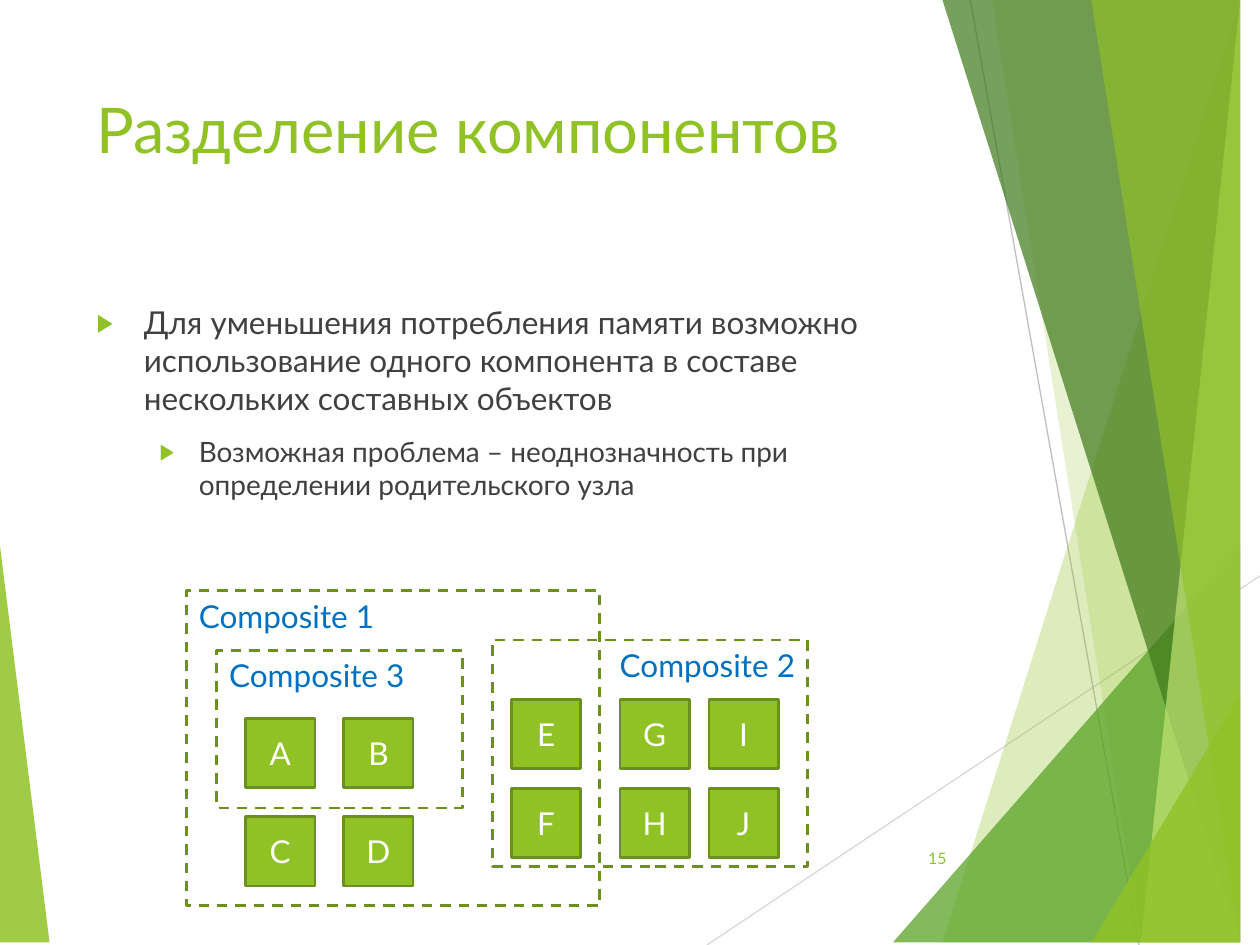
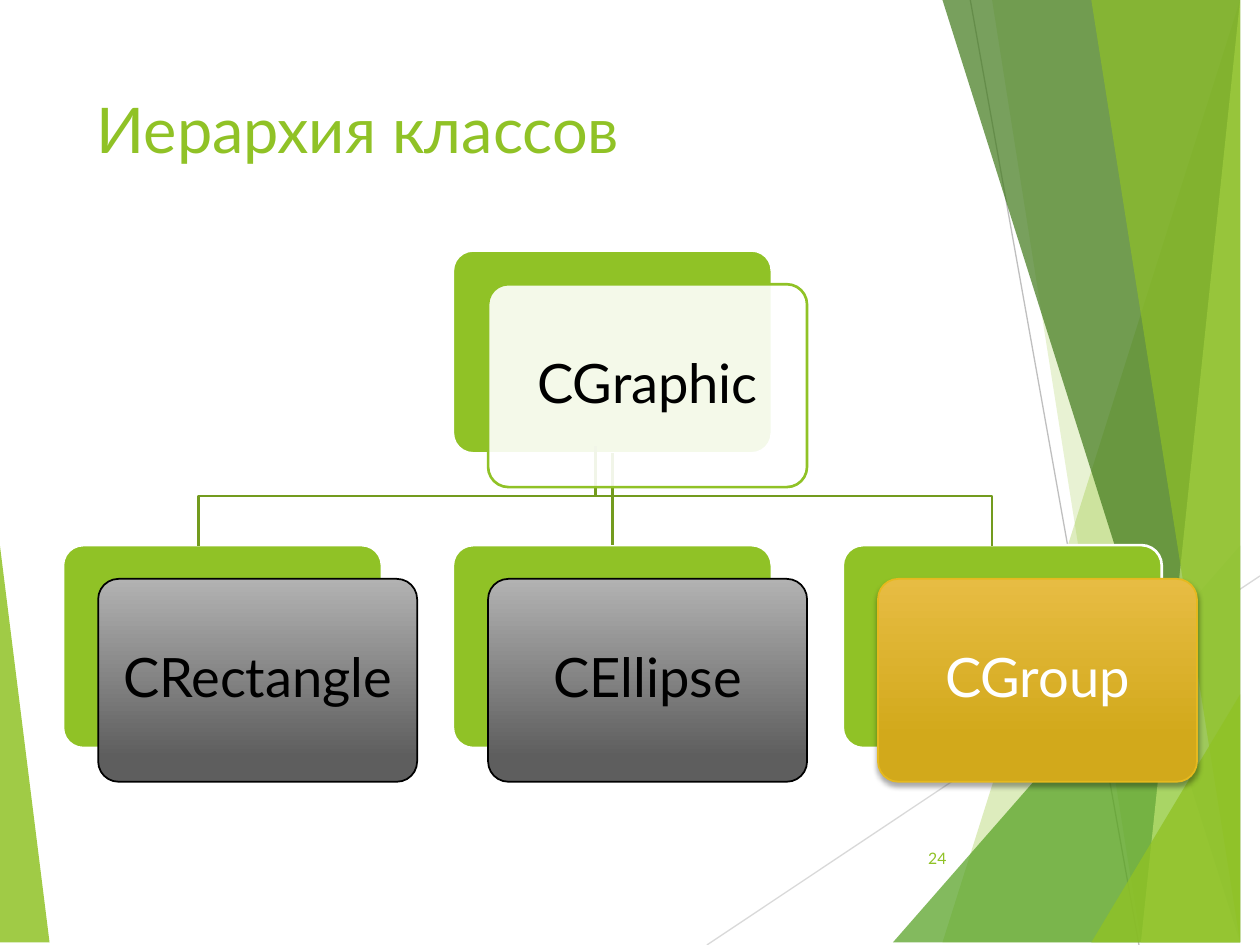
from lxml import etree
from pptx import Presentation
from pptx.dml.color import RGBColor
from pptx.enum import dml, shapes, text
from pptx.oxml import ns
from pptx.util import Cm, Pt

WIDE, HIGH = 25.4, 19.05
FONT = "Lato"
GREEN = RGBColor(0x90, 0xC2, 0x26)
LEAF = RGBColor(0x54, 0xA0, 0x21)
PINE = RGBColor(0x3F, 0x78, 0x19)
LIME = RGBColor(0xC0, 0xE4, 0x74)
OLIVE = RGBColor(0x6B, 0x90, 0x1C)
MOSS = RGBColor(0x73, 0x9B, 0x1E)
BLUE = RGBColor(0x00, 0x70, 0xC0)
INK = RGBColor(0x40, 0x40, 0x40)
BLACK = RGBColor(0, 0, 0)
WHITE = RGBColor(0xFF, 0xFF, 0xFF)
SILVER = RGBColor(0xD9, 0xD9, 0xD9)
STEEL = RGBColor(0xBF, 0xBF, 0xBF)
ASH = RGBColor(0xB2, 0xB2, 0xB2)
SLATE = RGBColor(0x5E, 0x5E, 0x5E)
HONEY = RGBColor(0xE7, 0xBC, 0x43)
GOLD = RGBColor(0xD2, 0xA9, 0x1B)
AMBER = RGBColor(0xE6, 0xB9, 0x1E)

FACETS = [
    ((24.77, 0), (19.15, HIGH), GREEN, 30),
    ((20.02, 0), (23.34, HIGH), GREEN, 20),
    ((WIDE, 10.9), (18.44, HIGH), LEAF, 72),
    ((19.48, 0), (24.64, HIGH), PINE, 70),
    ((24.92, 0), (23.04, HIGH), LIME, 70),
    ((22.43, 0), (25.04, HIGH), GREEN, 65),
    ((WIDE, 13.59), (22.38, HIGH), GREEN, 80),
]
CELL, CARD_W, CARD_H = 1.4, 6.43, 4.09
LEFT, CENTER, RIGHT = text.PP_ALIGN.LEFT, text.PP_ALIGN.CENTER, text.PP_ALIGN.RIGHT
TOP, MIDDLE = text.MSO_ANCHOR.TOP, text.MSO_ANCHOR.MIDDLE


def add_xml(parent, tag, **attrs):
    """Append a drawing element and return it."""
    node = etree.SubElement(parent, ns.qn("a:" + tag))
    for name, value in attrs.items():
        node.set(name, str(value))
    return node


def paint(shape, color=None, alpha=100, line=None, width=1.5):
    """Set a shape's fill and outline, without a shadow."""
    shape.shadow.inherit = False
    if color is None:
        shape.fill.background()
    else:
        shape.fill.solid()
        shape.fill.fore_color.rgb = color
        if alpha < 100:
            tint = shape.element.spPr.find(".//" + ns.qn("a:srgbClr"))
            add_xml(tint, "alpha", val=alpha * 1000)
    if line is None:
        shape.line.fill.background()
    else:
        shape.line.color.rgb = line
        shape.line.width = Pt(width)


def shade(shape, start, end, stop):
    """Fill a shape with a gradient running downwards."""
    shape.fill.gradient()
    shape.fill.gradient_angle = 270
    for point, color, place in zip(shape.fill.gradient_stops, (start, end), (0, stop)):
        point.color.rgb = color
        point.position = place


def add_run(para, words, size, color):
    """Add one styled run."""
    run = para.add_run()
    run.text = words
    run.font.name = FONT
    run.font.size = Pt(size)
    run.font.color.rgb = color


def write(shape, words, size, color, align=LEFT, anchor=TOP):
    """Put a single paragraph into a shape and return it."""
    frame = shape.text_frame
    frame.word_wrap = True
    frame.vertical_anchor = anchor
    para = frame.paragraphs[0]
    para.alignment = align
    add_run(para, words, size, color)
    return para


def add_box(slide, left, top, width, height):
    """Add an empty text box."""
    return slide.shapes.add_textbox(Cm(left), Cm(top), Cm(width), Cm(height))


def add_block(slide, left, top, width, height, kind=shapes.MSO_SHAPE.RECTANGLE):
    """Add a preset shape."""
    return slide.shapes.add_shape(kind, Cm(left), Cm(top), Cm(width), Cm(height))


def add_path(slide, points, close):
    """Draw an outline through points."""
    pen = slide.shapes.build_freeform(*points[0], scale=Cm(1))
    pen.add_line_segments(points[1:], close=close)
    return pen.convert_to_shape()


def add_line(slide, start, end, color, width):
    """Draw a straight connector without a shadow."""
    line = slide.shapes.add_connector(
        shapes.MSO_CONNECTOR.STRAIGHT, *(Cm(v) for v in (*start, *end)))
    line.line.color.rgb = color
    line.line.width = Pt(width)
    add_xml(line.element.spPr, "effectLst")
    return line


def add_decor(slide):
    """Draw the green facets at both edges."""
    wedge = add_path(slide, [(0, 11.15), (1.24, HIGH), (0, HIGH)], True)
    paint(wedge, GREEN, 85)
    add_line(slide, (14.25, HIGH), (WIDE, 11.61), SILVER, 0.75)
    add_line(slide, (19.56, 0), (22.96, HIGH), STEEL, 0.75)
    for high, low, color, alpha in FACETS:
        facet = add_path(slide, [high, low, (WIDE, HIGH), (WIDE, high[1])], True)
        paint(facet, color, alpha)


def add_page(deck, title, number):
    """Add a slide with its decor, title and number."""
    slide = deck.slides.add_slide(deck.slide_layouts[6])
    add_decor(slide)
    write(add_box(slide, 1.7, 1.7, 17.63, 3.66), title, 36, GREEN)
    write(add_box(slide, 17.91, 16.79, 1.42, 1.02), number, 9, GREEN, RIGHT, MIDDLE)
    return slide


def add_list(slide, left, top, width, height, items):
    """Write bulleted items of (words, size, margin, hang)."""
    frame = add_box(slide, left, top, width, height).text_frame
    frame.word_wrap = True
    for index, (words, size, margin, hang) in enumerate(items):
        para = frame.add_paragraph() if index else frame.paragraphs[0]
        para.level = index
        para.space_before = Pt(10)
        add_run(para, words, size, INK)
        props = para._p.get_or_add_pPr()
        props.set("marL", str(Cm(margin)))
        props.set("indent", str(-Cm(hang)))
        add_xml(add_xml(props, "buClr"), "srgbClr", val=GREEN)
        add_xml(props, "buSzPct", val=80000)
        add_xml(props, "buFont", typeface=FONT)
        add_xml(props, "buChar", char="▶")


def add_parts(slide, left, top):
    """Draw the overlapping composites and their components."""
    groups = [
        ("Composite 1", 0, 0, 8.33, 6.35, LEFT),
        ("Composite 2", 6.17, 0.99, 6.35, 4.57, RIGHT),
        ("Composite 3", 0.61, 1.2, 4.95, 3.18, LEFT),
    ]
    for name, dx, dy, width, height, align in groups:
        frame = add_block(slide, left + dx, top + dy, width, height)
        paint(frame, line=OLIVE)
        frame.line.dash_style = dml.MSO_LINE.DASH
        write(frame, name, 18, BLUE, align)
    grids = [
        (1.19, 2.57, 1.98, ("AB", "CD")),
        (6.55, 2.19, 1.79, ("E", "F")),
        (8.74, 2.19, 1.79, ("GI", "HJ")),
    ]
    for dx, dy, pitch, rows in grids:
        for row, names in enumerate(rows):
            for col, name in enumerate(names):
                cell = add_block(slide, left + dx + col * pitch,
                                 top + dy + row * pitch, CELL, CELL)
                paint(cell, GREEN, line=OLIVE)
                write(cell, name, 18, WHITE, CENTER, MIDDLE)


def add_card(slide, left, top):
    """Add a rounded card."""
    card = add_block(slide, left, top, CARD_W, CARD_H,
                     shapes.MSO_SHAPE.ROUNDED_RECTANGLE)
    card.adjustments[0] = 0.1
    return card


def label(card, name, color):
    """Write a class name on a card."""
    para = write(card, name, 31, color, CENTER, MIDDLE)
    para.line_spacing = 0.9
    frame = card.text_frame
    frame.margin_left = frame.margin_right = Cm(0.33)
    frame.margin_top = frame.margin_bottom = Cm(0.33)


def add_tree(slide, left, top):
    """Draw the class tree: a base class over three children."""
    col, row = 7.86, 5.94
    spots = {
        "CGraphic": (left + col, top),
        "CRectangle": (left, top + row),
        "CEllipse": (left + col, top + row),
        "CGroup": (left + 2 * col, top + row),
    }
    backs = {}
    for name, spot in spots.items():
        backs[name] = add_card(slide, *spot)
        paint(backs[name], GREEN, line=WHITE)

    mid, base, low = left + col + CARD_W / 2, top + CARD_H, top + row
    for end in (mid - col, mid + col):
        bend = [(mid, base), (mid, low - 0.61), (end, low - 0.61), (end, low)]
        paint(add_path(slide, bend, False), line=MOSS)
    stem = add_line(slide, (mid, base), (mid, low), MOSS, 1.5)
    stem.begin_connect(backs["CGraphic"], 2)
    stem.end_connect(backs["CEllipse"], 0)

    for name, (x, y) in spots.items():
        card = add_card(slide, x + 0.71, y + 0.68)
        if name == "CGraphic":
            paint(card, WHITE, 90, GREEN)
        elif name == "CGroup":
            paint(card, line=AMBER, width=1)
            shade(card, HONEY, GOLD, 0.78)
            glow = add_xml(card.element.spPr.find(ns.qn("a:effectLst")), "outerShdw",
                           blurRad=Pt(3), dist=Pt(2), dir=5400000, rotWithShape=0)
            add_xml(add_xml(glow, "srgbClr", val=BLACK), "alpha", val=35000)
        else:
            paint(card, line=BLACK, width=1)
            shade(card, ASH, SLATE, 0.88)
        label(card, name, WHITE if name == "CGroup" else BLACK)


def main():
    """Build both slides and save the deck."""
    deck = Presentation()
    deck.slide_width, deck.slide_height = Cm(WIDE), Cm(HIGH)

    slide = add_page(deck, "Разделение компонентов", "15")
    add_list(slide, 1.7, 5.99, 17.63, 10.77, [
        ("Для уменьшения потребления памяти возможно использование одного "
         "компонента в составе нескольких составных объектов", 18, 0.95, 0.95),
        ("Возможная проблема – неоднозначность при определении "
         "родительского узла", 16, 2.06, 0.79),
    ])
    add_parts(slide, 3.76, 11.91)

    slide = add_page(deck, "Иерархия классов", "24")
    add_tree(slide, 1.27, 5.05)

    deck.save("out.pptx")


if __name__ == "__main__":
    main()
